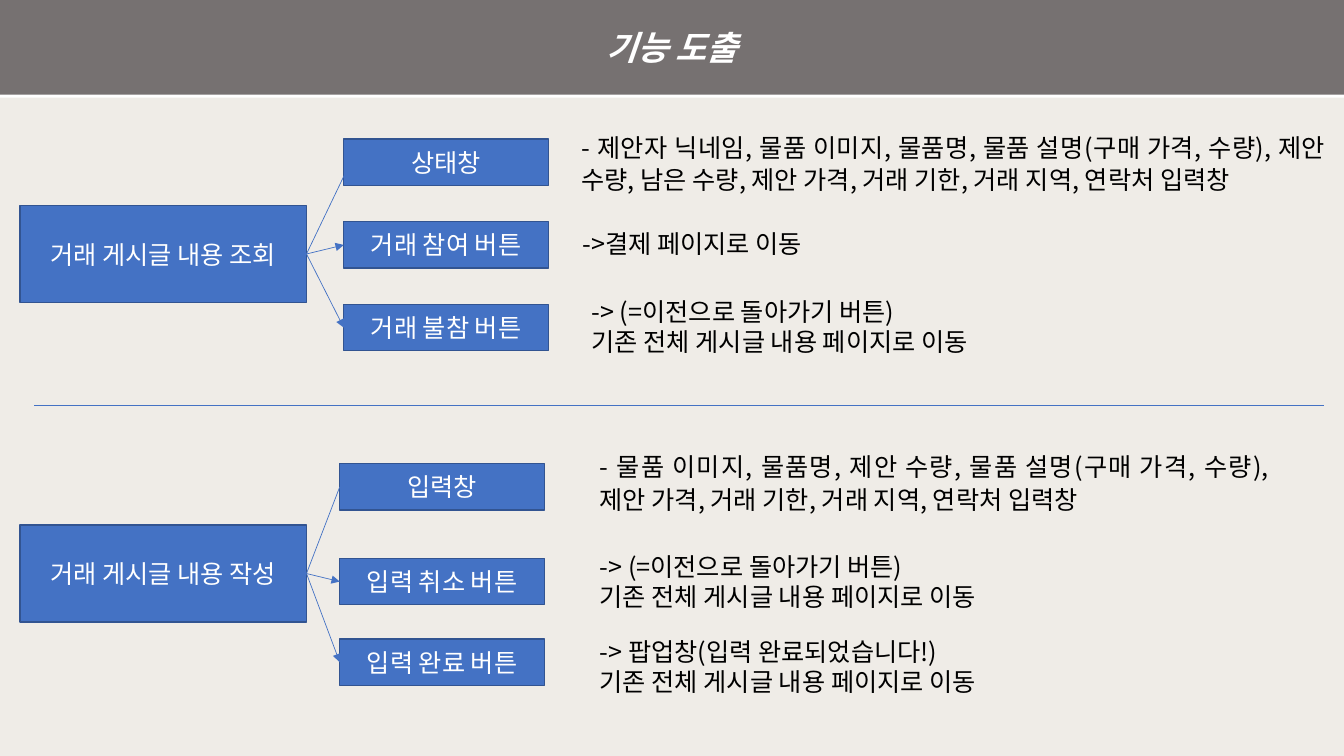
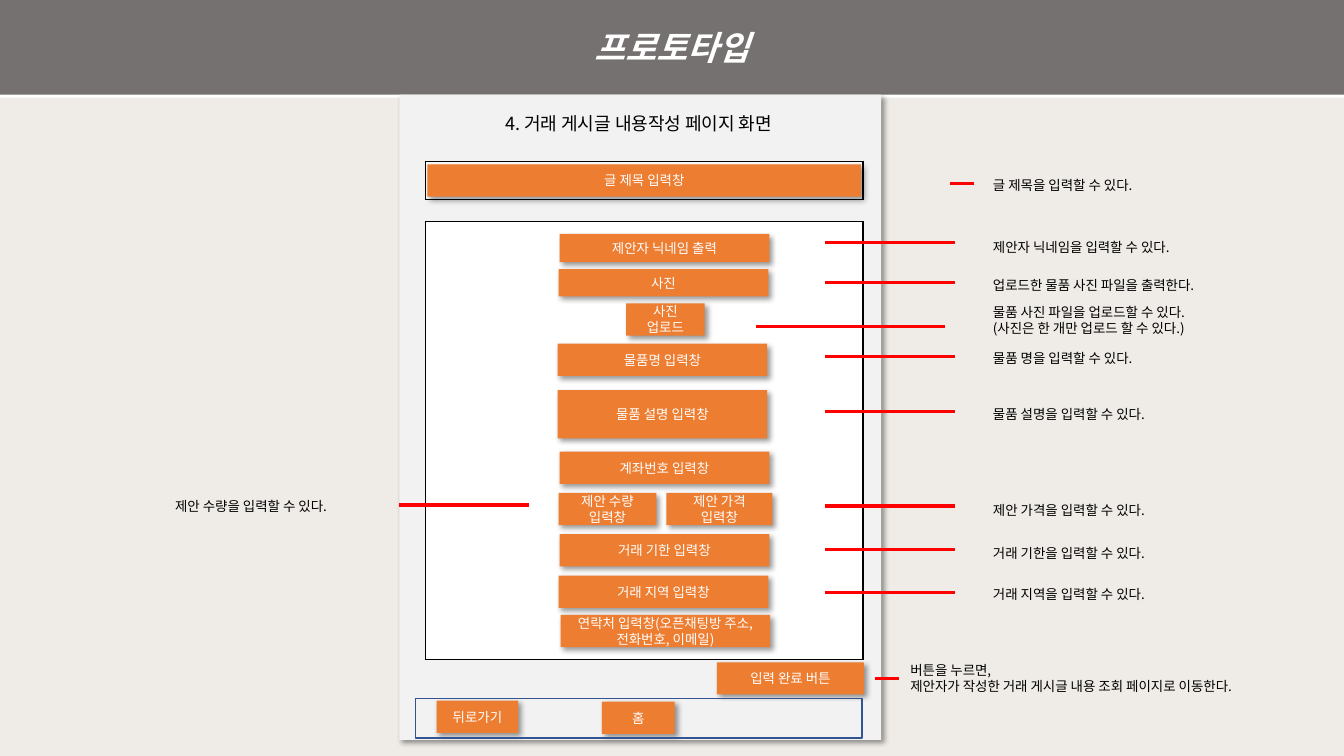
from lxml.etree import SubElement
from pptx import Presentation
from pptx.dml.color import RGBColor
from pptx.enum.shapes import MSO_CONNECTOR, MSO_SHAPE
from pptx.enum.text import MSO_ANCHOR, MSO_AUTO_SIZE, PP_ALIGN
from pptx.oxml.ns import qn
from pptx.util import Inches, Pt

FONT = "Noto Sans CJK KR"
BLUE, NAVY, ORANGE, RED = "4472C4", "325491", "ED7D31", "FF0000"
BLACK, WHITE, GRAY, PANEL, PAPER = "000000", "FFFFFF", "767171", "F2F2F2", "EFECE7"
BAND_SHADOW = (WHITE, 100, 0, 2, 90)
SOFT_SHADOW = (BLACK, 40, 4, 3, 45)
BODY, SMALL = 18, 9.6
RIGHT_SIDE, LEFT_SIDE = 3, 1


def rgb(value):
    return RGBColor.from_string(value)


def inches(*values):
    return [Inches(value) for value in values]


def write(frame, lines, size, color, align=PP_ALIGN.LEFT, bold=None, italic=None):
    """Write one paragraph per line."""
    frame.word_wrap = True
    for index, line in enumerate(lines):
        paragraph = frame.paragraphs[0] if index == 0 else frame.add_paragraph()
        paragraph.alignment = align
        run = paragraph.add_run()
        run.text = line
        font = run.font
        font.name, font.size, font.bold, font.italic = FONT, Pt(size), bold, italic
        font.color.rgb = rgb(color)
        SubElement(run._r.get_or_add_rPr(), qn("a:ea"), typeface=FONT)


def paint(shape, fill=None, line=None, shadow=None):
    """Set fill, outline and shadow; shadow is colour, opacity, blur, distance, angle."""
    if fill:
        shape.fill.solid()
        shape.fill.fore_color.rgb = rgb(fill)
    else:
        shape.fill.background()
    if line:
        shape.line.color.rgb = rgb(line)
        shape.line.width = Pt(1)
    else:
        shape.line.fill.background()
    shape.shadow.inherit = False
    if shadow:
        color, opacity, blur, distance, angle = shadow
        effects = shape._element.spPr.find(qn("a:effectLst"))
        outer = SubElement(effects, qn("a:outerShdw"), blurRad=str(Pt(blur)),
                           dist=str(Pt(distance)), dir=str(angle * 60000),
                           algn="tl", rotWithShape="0")
        tint = SubElement(outer, qn("a:srgbClr"), val=color)
        SubElement(tint, qn("a:alpha"), val=str(opacity * 1000))


def add_box(slide, place, label=None, size=SMALL, **look):
    box = slide.shapes.add_shape(MSO_SHAPE.RECTANGLE, *inches(*place))
    paint(box, **look)
    if label:
        box.text_frame.vertical_anchor = MSO_ANCHOR.MIDDLE
        write(box.text_frame, [label], size, WHITE, PP_ALIGN.CENTER)
    return box


def add_button(slide, label, *place):
    add_box(slide, place, label, fill=ORANGE, shadow=SOFT_SHADOW)


def add_note(slide, place, lines, size=SMALL, align=PP_ALIGN.LEFT):
    note = slide.shapes.add_textbox(*inches(*place))
    note.text_frame.auto_size = MSO_AUTO_SIZE.SHAPE_TO_FIT_TEXT
    write(note.text_frame, lines, size, BLACK, align)
    return note


def add_field_list(slide, place, line):
    """Add a justified paragraph that lists the fields of a form."""
    paragraph = add_note(slide, place, [line], BODY, PP_ALIGN.JUSTIFY).text_frame.paragraphs[0]
    paragraph.line_spacing = 1.07
    paragraph.space_after = Pt(8)


def add_line(slide, start, end, color, width, arrow=False):
    line = slide.shapes.add_connector(MSO_CONNECTOR.STRAIGHT, *inches(*start, *end))
    line.line.color.rgb = rgb(color)
    line.line.width = Pt(width)
    if arrow:
        SubElement(line.line._get_or_add_ln(), qn("a:tailEnd"), type="triangle")
    SubElement(line._element.spPr, qn("a:effectLst"))
    return line


def add_frame(slide, left, top, width, height):
    """Add a one-cell table with a black border."""
    table = slide.shapes.add_table(1, 1, *inches(left, top, width, height)).table
    cell = table.cell(0, 0)
    cell.margin_top = cell.margin_bottom = 0
    for side in ("lnL", "lnR", "lnT", "lnB"):
        border = SubElement(cell._tc.get_or_add_tcPr(), qn(f"a:{side}"), w=str(Pt(1)))
        SubElement(SubElement(border, qn("a:solidFill")), qn("a:srgbClr"), val=BLACK)
    cell.fill.solid()
    cell.fill.fore_color.rgb = rgb(WHITE)


def add_titled_slide(deck, heading):
    slide = deck.slides.add_slide(deck.slide_layouts[5])
    band = slide.shapes.title
    band.left, band.top, band.width, band.height = inches(0, 0, 13.33, 0.94)
    paint(band, GRAY, shadow=BAND_SHADOW)
    band.text_frame.vertical_anchor = MSO_ANCHOR.MIDDLE
    write(band.text_frame, [heading], 24, WHITE, PP_ALIGN.CENTER, True, True)
    return slide


def add_tree(slide, page, page_top, left, branches, first_end=None):
    """Branch a page into its parts; the first branch has no arrowhead."""
    root = add_box(slide, (0.2, page_top, 2.84, 0.96), page, BODY, fill=BLUE, line=NAVY)
    for index, (label, top) in enumerate(branches):
        part = add_box(slide, (left, top, 2.03, 0.46), label, BODY, fill=BLUE, line=NAVY)
        free_end = first_end if index == 0 else None
        branch = add_line(slide, (3.04, page_top + 0.48), free_end or (left, top + 0.23),
                          BLUE, 0.5, arrow=index > 0)
        branch.begin_connect(root, RIGHT_SIDE)
        if not free_end:
            branch.end_connect(part, LEFT_SIDE)


def build_features(deck):
    slide = add_titled_slide(deck, "기능 도출")
    add_field_list(slide, (5.67, 1.24, 7.57, 1.05),
                   "- 제안자 닉네임, 물품 이미지, 물품명, 물품 설명(구매 가격, 수량), 제안 수량, "
                   "남은 수량, 제안 가격, 거래 기한, 거래 지역, 연락처 입력창")
    add_field_list(slide, (5.85, 4.41, 6.83, 0.72),
                   "- 물품 이미지, 물품명, 제안 수량, 물품 설명(구매 가격, 수량), 제안 가격, "
                   "거래 기한, 거래 지역, 연락처 입력창")
    back = "-> (=이전으로 돌아가기 버튼)"
    to_list = "기존 전체 게시글 내용 페이지로 이동"
    for left, top, height, lines in [
        (5.68, 2.22, 0.4, ["->결제 페이지로 이동"]),
        (5.77, 2.89, 0.71, [back, to_list]),
        (5.85, 5.42, 0.71, [back, to_list]),
        (5.85, 6.26, 0.71, ["-> 팝업창(입력 완료되었습니다!)", to_list]),
    ]:
        add_note(slide, (left, top, 6.83, height), lines, BODY)
    add_line(slide, (0.34, 4.02), (13.13, 4.02), BLUE, 0.5)
    add_tree(slide, "거래 게시글 내용 조회", 2.04, 3.41,
             [("상태창", 1.38), ("거래 참여 버튼", 2.2), ("거래 불참 버튼", 3.02)],
             first_end=(3.52, 1.52))
    add_tree(slide, "거래 게시글 내용 작성", 5.21, 3.37,
             [("입력창", 4.6), ("입력 취소 버튼", 5.54), ("입력 완료 버튼", 6.34)])


def build_prototype(deck):
    slide = add_titled_slide(deck, "프로토타입")
    add_box(slide, (3.96, 0.94, 4.78, 6.4), fill=PANEL, shadow=SOFT_SHADOW)
    add_frame(slide, 4.22, 1.6, 4.34, 0.38)
    add_frame(slide, 4.22, 2.2, 4.34, 4.34)
    add_note(slide, (3.76, 1.07, 5.15, 0.32), ["4. 거래 게시글 내용작성 페이지 화면"],
             12.9, PP_ALIGN.CENTER)

    for label, left, top, width, height in [
        ("글 제목 입력창", 4.24, 1.63, 4.3, 0.32),
        ("제안자 닉네임 출력", 5.55, 2.32, 2.08, 0.28),
        ("사진", 5.54, 2.67, 2.08, 0.27),
        ("사진 업로드", 6.21, 3.01, 0.78, 0.32),
        ("물품명 입력창", 5.53, 3.41, 2.08, 0.32),
        ("물품 설명 입력창", 5.53, 3.87, 2.08, 0.48),
        ("계좌번호 입력창", 5.55, 4.48, 2.08, 0.32),
        ("제안 수량 입력창", 5.54, 4.89, 0.97, 0.32),
        ("제안 가격 입력창", 6.61, 4.89, 1.05, 0.32),
        ("거래 기한 입력창", 5.55, 5.3, 2.08, 0.32),
        ("거래 지역 입력창", 5.54, 5.71, 2.08, 0.32),
        ("연락처 입력창(오픈채팅방 주소, 전화번호, 이메일)", 5.56, 6.1, 2.08, 0.32),
        ("입력 완료 버튼", 7.11, 6.57, 1.46, 0.32),
        ("홈", 5.97, 6.96, 0.72, 0.32),
        ("뒤로가기", 4.33, 6.95, 0.81, 0.32),
    ]:
        add_button(slide, label, left, top, width, height)
    add_box(slide, (4.12, 6.93, 4.43, 0.39), line=NAVY)

    for top, lines, line_start, line_end, line_y in [
        (1.71, ["글 제목을 입력할 수 있다."], 9.42, 9.66, 1.82),
        (2.32, ["제안자 닉네임을 입력할 수 있다."], 8.18, 9.47, 2.41),
        (2.7, ["업로드한 물품 사진 파일을 출력한다."], 8.18, 9.47, 2.8),
        (2.97, ["물품 사진 파일을 업로드할 수 있다.", "(사진은 한 개만 업로드 할 수 있다.)"],
         7.5, 9.37, 3.24),
        (3.42, ["물품 명을 입력할 수 있다."], 8.18, 9.47, 3.54),
        (3.98, ["물품 설명을 입력할 수 있다."], 8.18, 9.47, 4.08),
        (4.93, ["제안 가격을 입력할 수 있다."], 8.18, 9.47, 5.02),
        (5.36, ["거래 기한을 입력할 수 있다."], 8.18, 9.47, 5.45),
        (5.77, ["거래 지역을 입력할 수 있다."], 8.18, 9.47, 5.88),
    ]:
        add_note(slide, (9.75, top, 2.47, 0.26 if len(lines) == 1 else 0.43), lines)
        add_line(slide, (line_start, line_y), (line_end, line_y), RED, 2.25)
    add_note(slide, (8.93, 6.52, 3.45, 0.59),
             ["버튼을 누르면,", "제안자가 작성한 거래 게시글 내용 조회 페이지로 이동한다."])
    add_line(slide, (8.68, 6.73), (8.92, 6.73), RED, 2.25)
    add_note(slide, (0.02, 4.89, 3.32, 0.26), ["제안 수량을 입력할 수 있다."],
             align=PP_ALIGN.RIGHT)
    add_line(slide, (3.96, 5.01), (5.25, 5.01), RED, 2.25)


def main():
    deck = Presentation()
    deck.slide_width, deck.slide_height = inches(13.33, 7.5)
    paper = deck.slide_master.background.fill
    paper.solid()
    paper.fore_color.rgb = rgb(PAPER)
    build_features(deck)
    build_prototype(deck)
    deck.save("out.pptx")


if __name__ == "__main__":
    main()
